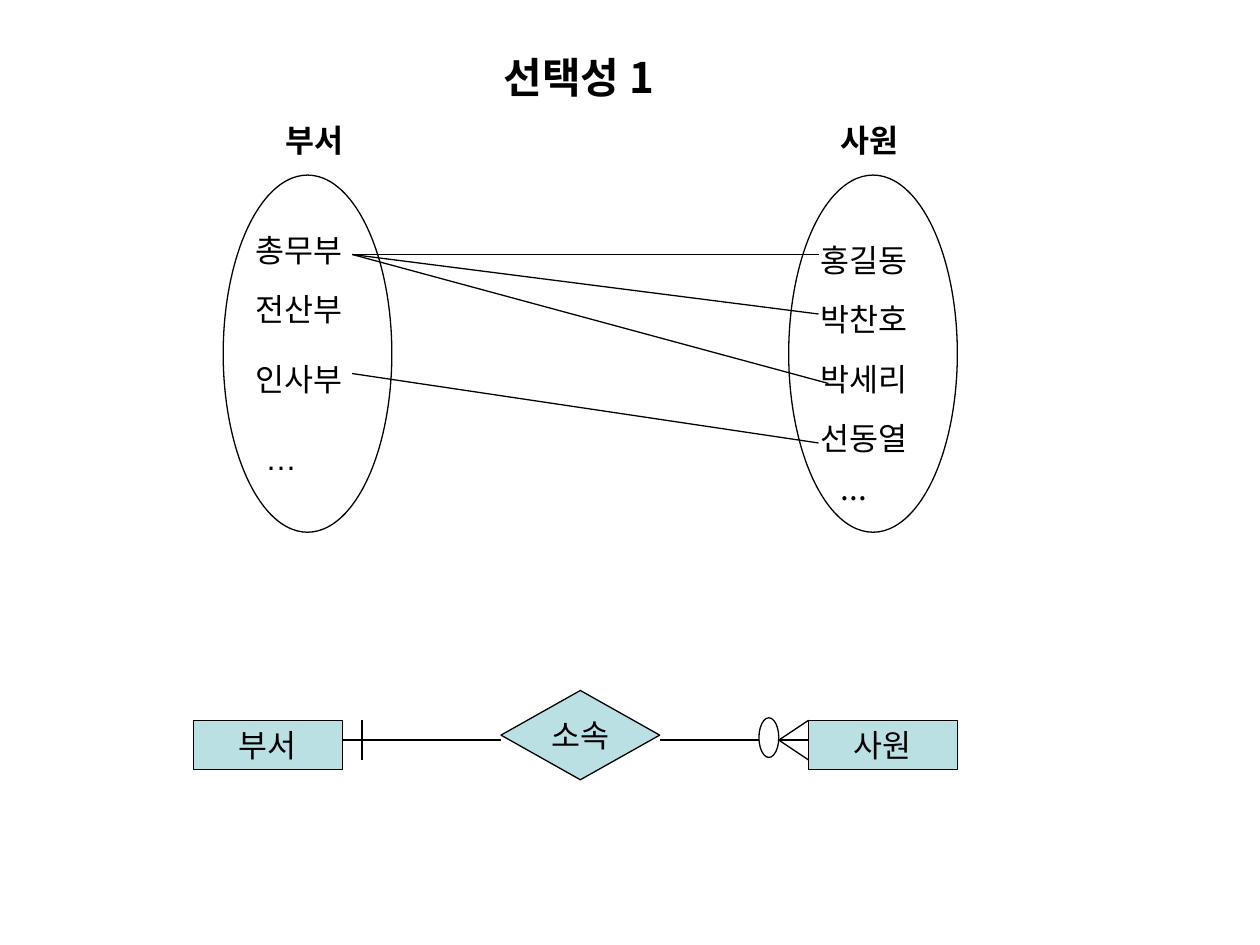
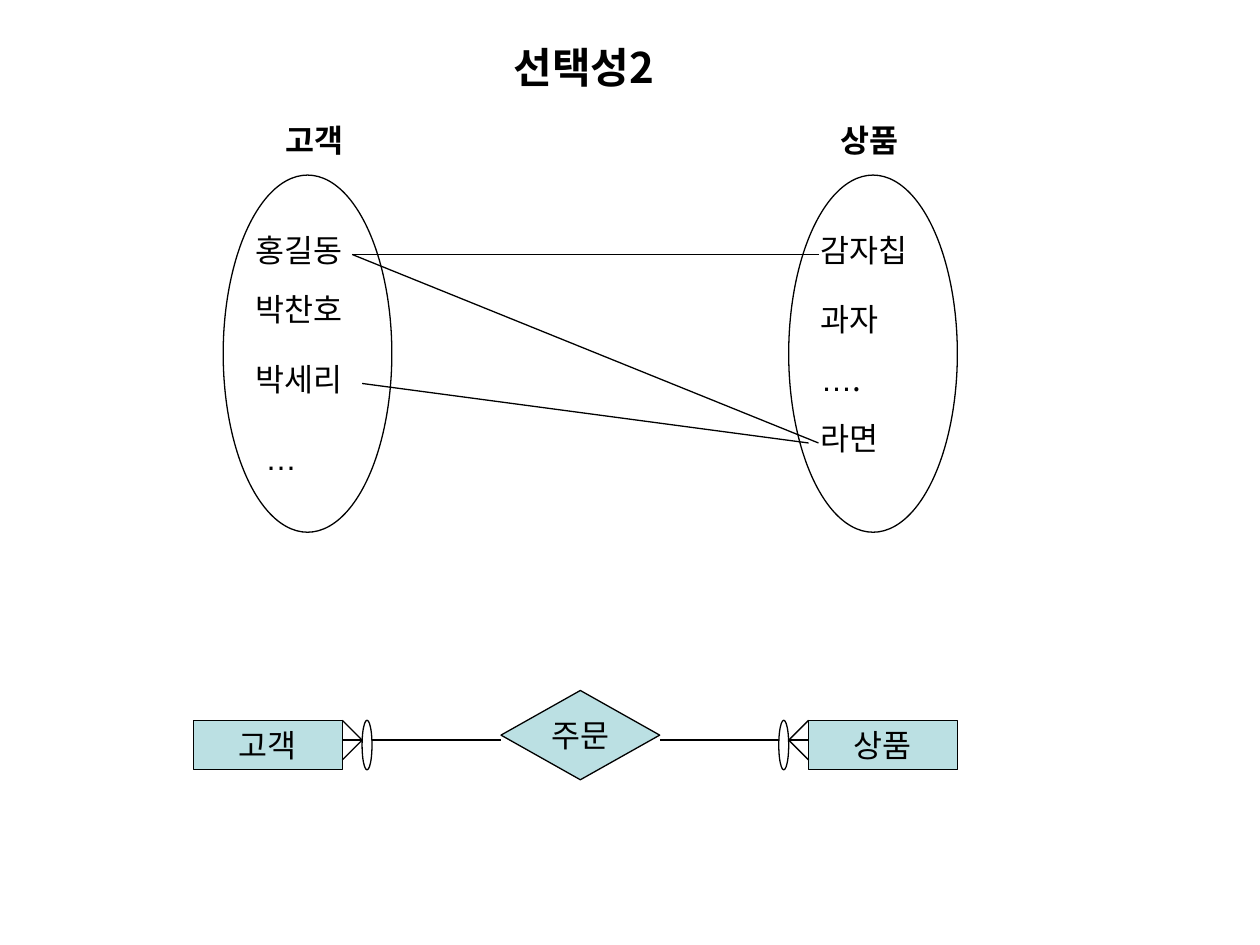
from dataclasses import dataclass
from itertools import groupby

from lxml.etree import SubElement
from pptx import Presentation
from pptx.dml.color import RGBColor
from pptx.enum.shapes import MSO_CONNECTOR, MSO_SHAPE
from pptx.enum.text import MSO_ANCHOR, MSO_AUTO_SIZE, PP_ALIGN
from pptx.oxml.ns import qn
from pptx.util import Cm, Pt


@dataclass(frozen=True)
class Theme:
    ink: RGBColor = RGBColor(0, 0, 0)
    paper: RGBColor = RGBColor(255, 255, 255)
    tint: RGBColor = RGBColor(0xBB, 0xE0, 0xE3)
    font: str = "Noto Sans CJK KR"
    dots: str = "Arial"
    head: int = 24
    body: int = 18
    line: float = 0.75


LOOK = Theme()
GAP = 11.4   # distance between the two set ovals
FAR = 12.4   # left edge of the right entity
MID = 1.0    # height of the relation line


# Shared helpers; all lengths are centimetres
def style(run, size, bold):
    font = run.font
    font.size, font.bold = Pt(size), bold
    font.color.rgb = LOOK.ink
    font.name = LOOK.dots if "…" in run.text else LOOK.font
    east = SubElement(run._r.get_or_add_rPr(), qn("a:ea"))
    east.set("typeface", font.name)


def write(frame, text, size=LOOK.body, bold=False):
    par = frame.paragraphs[0]
    for _, part in groupby(text, lambda char: char == "…"):
        run = par.add_run()
        run.text = "".join(part)
        style(run, size, bold)
    return par


def flow(shape, text, size=LOOK.body, bold=False):
    frame = shape.text_frame
    frame.word_wrap = True
    frame.vertical_anchor = MSO_ANCHOR.TOP
    frame.auto_size = MSO_AUTO_SIZE.SHAPE_TO_FIT_TEXT
    par = write(frame, text, size, bold)
    par.alignment = PP_ALIGN.LEFT
    par.space_before = Pt(size * 0.625)


def label(slide, x, y, wide, text, bold=False):
    box = slide.shapes.add_textbox(Cm(x), Cm(y), Cm(wide), Cm(1.02))
    flow(box, text, bold=bold)


def solid(slide, kind, x, y, wide, high, fill, text=""):
    shape = slide.shapes.add_shape(kind, Cm(x), Cm(y), Cm(wide), Cm(high))
    shape.shadow.inherit = False
    shape.fill.solid()
    shape.fill.fore_color.rgb = fill
    shape.line.color.rgb = LOOK.ink
    shape.line.width = Pt(LOOK.line)
    if text:
        frame = shape.text_frame
        frame.word_wrap = False
        frame.vertical_anchor = MSO_ANCHOR.MIDDLE
        write(frame, text).alignment = PP_ALIGN.CENTER


def link(slide, x1, y1, x2, y2):
    line = slide.shapes.add_connector(
        MSO_CONNECTOR.STRAIGHT, Cm(x1), Cm(y1), Cm(x2), Cm(y2))
    line.line.color.rgb = LOOK.ink
    line.line.width = Pt(LOOK.line)
    SubElement(line._element.spPr, qn("a:effectLst"))


# Title
def title(slide, text, x, y, wide):
    shape = slide.shapes.title
    shape.left, shape.top = Cm(x), Cm(y)
    shape.width, shape.height = Cm(wide), Cm(1.27)
    flow(shape, text, LOOK.head, True)


# One set: oval, heading and members given as (text, indent, drop)
def group(slide, x, y, name, shift, items):
    solid(slide, MSO_SHAPE.OVAL, x, y, 3.4, 7.2, LOOK.paper)
    label(slide, x + shift, y - 1.22, 3.6, name, True)
    for text, dx, dy in items:
        label(slide, x + dx, y + dy, 2.6, text)


# Two sets and the lines between their members
def sets(slide, x, y, names, left, right, links):
    group(slide, x, y, names[0], 1.0, left)
    group(slide, x + GAP, y, names[1], 0.8, right)
    for x1, y1, x2, y2 in links:
        link(slide, x + x1, y + y1, x + x2, y + y2)


# Ends of the relation line; way is 1 to the right, -1 to the left
def bar(slide, edge, y, way):
    x = edge + 0.4 * way
    link(slide, x, y + 0.6, x, y + 1.4)


def crow(slide, edge, y, way, reach, top, wide, high):
    tip = edge + reach * way
    for dy in (0.6, 1.4):
        link(slide, tip, y + MID, edge, y + dy)
    ring = tip if way > 0 else tip - wide
    solid(slide, MSO_SHAPE.OVAL, ring, y + top, wide, high, LOOK.paper)


def wide_crow(slide, edge, y, way):
    crow(slide, edge, y, way, 0.6, 0.55, 0.4, 0.8)


def slim_crow(slide, edge, y, way):
    crow(slide, edge, y, way, 0.4, 0.6, 0.2, 1.0)


# Entity, relation, entity
def model(slide, x, y, names, verb, ends):
    for name, dx in zip(names, (0, FAR)):
        solid(slide, MSO_SHAPE.RECTANGLE, x + dx, y + 0.6, 3, 1,
              LOOK.tint, name)
    solid(slide, MSO_SHAPE.FLOWCHART_DECISION, x + 6.2, y, 3.2, 1.8,
          LOOK.tint, verb)
    for x1, x2 in ((3, 6.2), (9.4, FAR)):
        link(slide, x + x1, y + MID, x + x2, y + MID)
    for end, edge, way in zip(ends, (3, FAR), (1, -1)):
        end(slide, x + edge, y, way)


def page(deck, head, names, left, right, links, verb, ends):
    slide = deck.slides.add_slide(deck.slide_layouts[5])
    title(slide, *head)
    sets(slide, 4.5, 3.53, names, left, right, links)
    model(slide, 3.9, 13.92, names, verb, ends)


def main():
    deck = Presentation()
    deck.slide_width, deck.slide_height = Cm(25.4), Cm(19.05)
    page(
        deck, ("선택성 1", 9.9, 0.91, 6.4), ("부서", "사원"),
        left=[("총무부", 0.4, 1), ("전산부", 0.4, 2.2),
              ("인사부", 0.4, 3.6), ("…", 0.6, 5.2)],
        right=[("홍길동", 0.4, 1.2), ("박찬호", 0.4, 2.4),
               ("박세리", 0.4, 3.6), ("선동열", 0.4, 4.8),
               ("...", 0.8, 5.8)],
        links=[(2.6, 1.6, 12, 1.6), (2.6, 1.6, 12, 2.8),
               (2.6, 1.6, 12.2, 4.2), (2.6, 4, 12, 5.4)],
        verb="소속", ends=(bar, wide_crow))
    page(
        deck, ("선택성2", 10.1, 0.71, 5), ("고객", "상품"),
        left=[("홍길동", 0.4, 1), ("박찬호", 0.4, 2.2),
              ("박세리", 0.4, 3.6), ("…", 0.6, 5.2)],
        right=[("감자칩", 0.4, 1), ("과자", 0.4, 2.4),
               ("….", 0.4, 3.6), ("라면", 0.4, 4.8)],
        links=[(2.6, 1.6, 12, 1.6), (2.6, 1.6, 12, 5.4),
               (2.8, 4.2, 11.8, 5.4)],
        verb="주문", ends=(slim_crow, slim_crow))
    deck.save("out.pptx")


if __name__ == "__main__":
    main()
